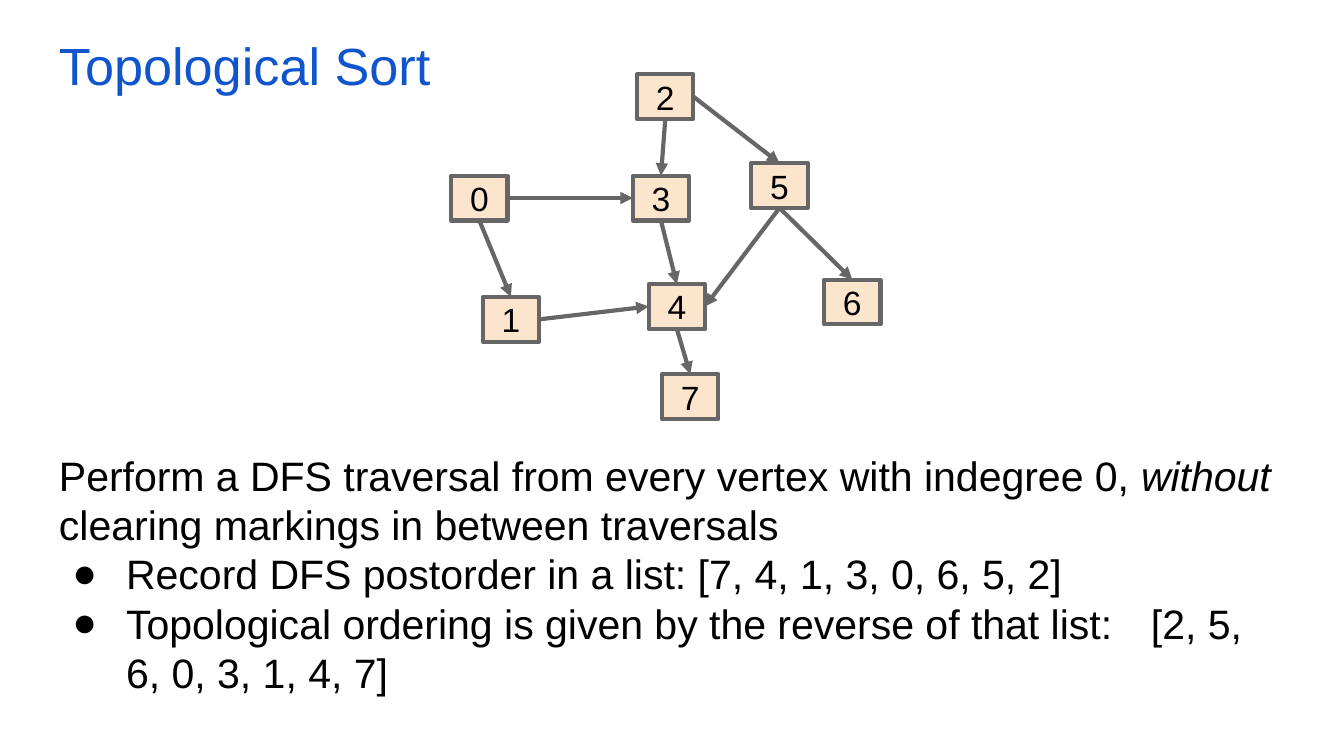
from dataclasses import dataclass

from lxml.etree import SubElement
from pptx import Presentation
from pptx.dml.color import RGBColor
from pptx.enum.shapes import MSO_CONNECTOR, MSO_SHAPE
from pptx.enum.text import MSO_ANCHOR, PP_ALIGN
from pptx.oxml.ns import qn
from pptx.util import Pt

FONT = "Arial"
BLACK, BLUE, GRAY, PEACH = "000000", "1155CC", "666666", "FCE5CD"
NODE_W, NODE_H = 30.2, 24
LINE_W = 2.25
INSET = 7.2
TOP, LEFT, BOTTOM, RIGHT = range(4)


@dataclass
class Node:
    label: str
    x: float
    y: float


@dataclass
class Edge:
    start: str
    start_side: int
    end: str
    end_side: int


NODES = [
    Node("0", 241.7, 94.1),
    Node("1", 258.6, 159.1),
    Node("2", 341.3, 39.8),
    Node("3", 339, 94.1),
    Node("4", 347.5, 152.2),
    Node("5", 402.5, 87.4),
    Node("6", 441.5, 149.8),
    Node("7", 354.7, 200.5),
]
EDGES = [
    Edge("0", BOTTOM, "1", TOP),
    Edge("0", RIGHT, "3", LEFT),
    Edge("2", BOTTOM, "3", TOP),
    Edge("2", RIGHT, "5", TOP),
    Edge("5", BOTTOM, "6", TOP),
    Edge("5", BOTTOM, "4", RIGHT),
    Edge("3", BOTTOM, "4", TOP),
    Edge("1", RIGHT, "4", LEFT),
    Edge("4", BOTTOM, "7", TOP),
]
INTRO = [
    ("Perform a DFS traversal from every vertex with indegree 0, ", False),
    ("without", True),
    (" clearing markings in between traversals", False),
]
BULLETS = [
    "Record DFS postorder in a list: [7, 4, 1, 3, 0, 6, 5, 2]",
    "Topological ordering is given by the reverse of that list: \t[2, 5, 6, 0, 3, 1, 4, 7]",
]


def color(value: str) -> RGBColor:
    return RGBColor.from_string(value)


def style(p, size: float, value: str) -> None:
    for r in p.runs:
        r.font.name = FONT
        r.font.size = Pt(size)
        r.font.color.rgb = color(value)


def set_insets(tf) -> None:
    tf.margin_left = tf.margin_right = Pt(INSET)
    tf.margin_top = tf.margin_bottom = Pt(INSET)


def add_text_box(shapes, y: float, h: float):
    tf = shapes.add_textbox(Pt(24.5), Pt(y), Pt(671), Pt(h)).text_frame
    tf.word_wrap = True
    set_insets(tf)
    return tf


def add_node(shapes, node: Node):
    sp = shapes.add_shape(MSO_SHAPE.RECTANGLE, Pt(node.x), Pt(node.y), Pt(NODE_W), Pt(NODE_H))
    sp.shadow.inherit = False
    sp.fill.solid()
    sp.fill.fore_color.rgb = color(PEACH)
    sp.line.color.rgb = color(GRAY)
    sp.line.width = Pt(LINE_W)
    tf = sp.text_frame
    set_insets(tf)
    tf.vertical_anchor = MSO_ANCHOR.MIDDLE
    tf.text = node.label
    p = tf.paragraphs[0]
    p.alignment = PP_ALIGN.CENTER
    style(p, 18, BLACK)
    return sp


def add_edge(shapes, edge: Edge, boxes: dict) -> None:
    cxn = shapes.add_connector(MSO_CONNECTOR.STRAIGHT, 0, 0, 0, 0)
    cxn.begin_connect(boxes[edge.start], edge.start_side)
    cxn.end_connect(boxes[edge.end], edge.end_side)
    cxn.line.color.rgb = color(GRAY)
    cxn.line.width = Pt(LINE_W)
    SubElement(cxn.line._get_or_add_ln(), qn("a:tailEnd"), type="triangle")
    SubElement(cxn._element.spPr, qn("a:effectLst"))


def add_bullet(tf, text: str) -> None:
    p = tf.add_paragraph()
    p.text = text
    pPr = p._p.get_or_add_pPr()
    pPr.set("marL", str(Pt(36)))
    pPr.set("indent", str(-Pt(28.8)))
    SubElement(pPr, qn("a:buFont"), typeface=FONT)
    SubElement(pPr, qn("a:buChar"), char="●")
    if "\t" in text:
        tabs = SubElement(pPr, qn("a:tabLst"))
        SubElement(tabs, qn("a:tab"), pos=str(Pt(585)), algn="l")
    style(p, 22, BLACK)


prs = Presentation()
prs.slide_width, prs.slide_height = Pt(720), Pt(405)
s = prs.slides.add_slide(prs.slide_layouts[6])

# Title
title = add_text_box(s.shapes, 10.8, 45.4)
title.text = "Topological Sort"
style(title.paragraphs[0], 28, BLUE)

# Graph
graph = s.shapes.add_group_shape().shapes
boxes = {node.label: add_node(graph, node) for node in NODES}
for edge in EDGES:
    add_edge(graph, edge, boxes)

# Explanation
body = add_text_box(s.shapes, 234, 146)
p = body.paragraphs[0]
for text, italic in INTRO:
    r = p.add_run()
    r.text = text
    r.font.italic = italic
style(p, 22, BLACK)
for text in BULLETS:
    add_bullet(body, text)

prs.save("out.pptx")
